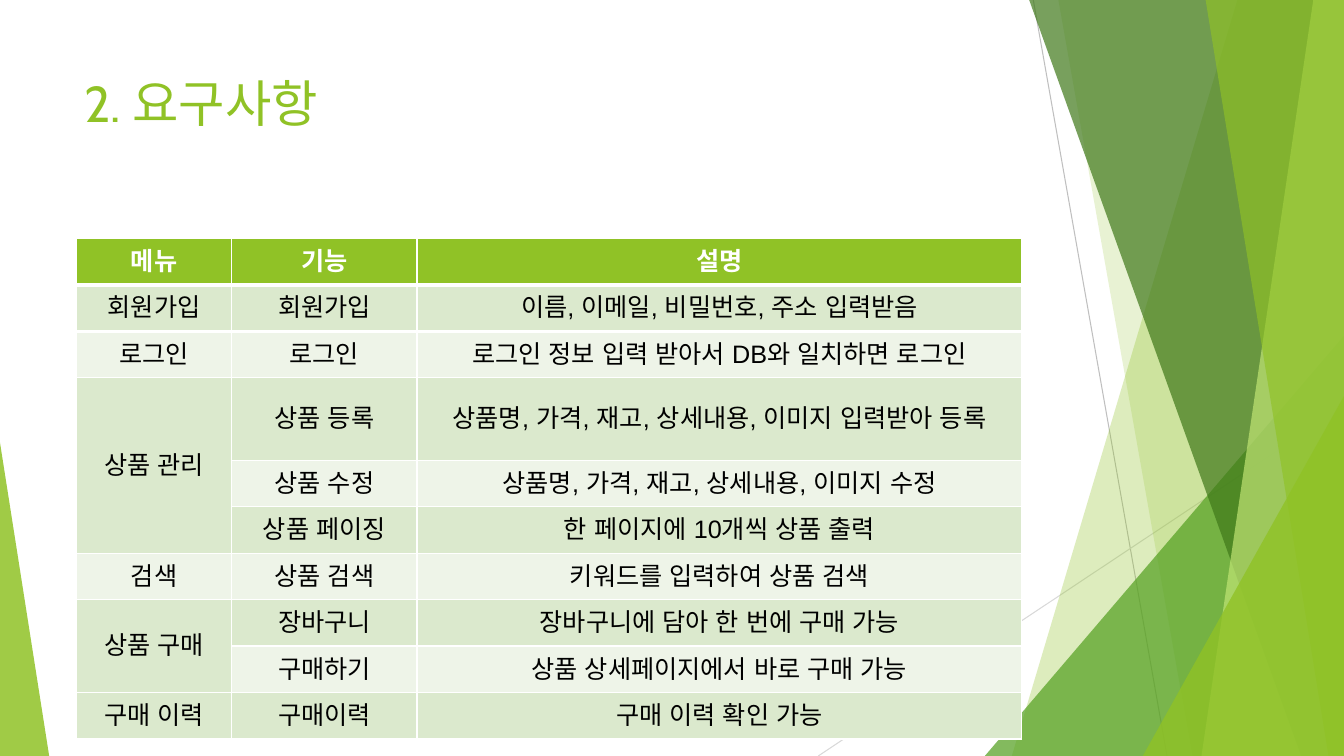
import pptx
import pptx.util
import pptx.dml.color
import pptx.enum.lang
import pptx.enum.shapes
import pptx.enum.text
import pptx.oxml
import pptx.oxml.ns
import lxml.etree

Cm = pptx.util.Cm
RGBColor = pptx.dml.color.RGBColor
qn = pptx.oxml.ns.qn

WHITE = RGBColor(0xFF, 0xFF, 0xFF)
BLACK = RGBColor(0, 0, 0)
LIME = RGBColor(0x90, 0xC2, 0x26)
GREEN = RGBColor(0x54, 0xA0, 0x21)
FOREST = RGBColor(0x3F, 0x78, 0x19)
PALE_LIME = RGBColor(0xC0, 0xE4, 0x74)
BAND_DARK = RGBColor(0xDB, 0xE9, 0xCD)
BAND_LIGHT = RGBColor(0xEE, 0xF4, 0xE8)
GREY = RGBColor(0xBF, 0xBF, 0xBF)
LIGHT_GREY = RGBColor(0xD9, 0xD9, 0xD9)

WIDTH, HEIGHT = 33.87, 19.05
SHARD_TOP = -0.02

HEADINGS = ("메뉴", "기능", "설명")
REQUIREMENTS = {
    "회원가입": [("회원가입", "이름, 이메일, 비밀번호, 주소 입력받음")],
    "로그인": [("로그인", "로그인 정보 입력 받아서 DB와 일치하면 로그인")],
    "상품 관리": [
        ("상품 등록", "상품명, 가격, 재고, 상세내용, 이미지 입력받아 등록"),
        ("상품 수정", "상품명, 가격, 재고, 상세내용, 이미지 수정"),
        ("상품 페이징", "한 페이지에 10개씩 상품 출력"),
    ],
    "검색": [("상품 검색", "키워드를 입력하여 상품 검색")],
    "상품 구매": [
        ("장바구니", "장바구니에 담아 한 번에 구매 가능"),
        ("구매하기", "상품 상세페이지에서 바로 구매 가능"),
    ],
    "구매 이력": [("구매이력", "구매 이력 확인 가능")],
}
COLUMN_WIDTHS = (3.91, 4.67, 15.24)
ROW_HEIGHT = 1.17
TWO_LINE_HEIGHT = 2.08
TWO_LINE_ROW = 3
CELL_MARGIN = 0.4


def write_text(frame, text, size=18, font="Arial", east_asian=None,
               color=BLACK, bold=False, align=None):
    paragraph = frame.paragraphs[0]
    paragraph.alignment = align
    run = paragraph.add_run()
    run.text = text
    run.font.size = pptx.util.Pt(size)
    run.font.name = font
    run.font.bold = bold
    run.font.color.rgb = color
    run.font.language_id = pptx.enum.lang.MSO_LANGUAGE_ID.KOREAN
    if east_asian:
        typeface = lxml.etree.SubElement(run.font._element, qn("a:ea"))
        typeface.set("typeface", east_asian)


def paint(shape, color, opacity):
    """Fill a shape with a see-through colour, without outline or shadow."""
    shape.shadow.inherit = False
    shape.line.fill.background()
    shape.fill.solid()
    shape.fill.fore_color.rgb = color
    tint = shape.fill._xPr.find(qn("a:solidFill"))[0]
    lxml.etree.SubElement(tint, qn("a:alpha")).set("val", str(opacity * 1000))


def add_hairline(slide, start, end, color):
    hairline = slide.shapes.add_connector(
        pptx.enum.shapes.MSO_CONNECTOR.STRAIGHT, *map(Cm, start + end))
    hairline.line.color.rgb = color
    hairline.line.width = pptx.util.Pt(0.75)
    lxml.etree.SubElement(hairline._element.spPr, qn("a:effectLst"))


def add_shard(slide, top_x, bottom_x, color, opacity):
    """Add a slanted band that reaches from its left edge to the slide's right edge."""
    builder = slide.shapes.build_freeform(Cm(top_x), Cm(SHARD_TOP))
    corners = ((WIDTH, SHARD_TOP), (WIDTH, HEIGHT), (bottom_x, HEIGHT))
    builder.add_line_segments([(Cm(x), Cm(y)) for x, y in corners], close=True)
    paint(builder.convert_to_shape(), color, opacity)


def add_corner(slide, left, top, right, apex, color, opacity):
    """Add a triangle on the bottom edge; apex is 0 for left and 1 for right."""
    corner = slide.shapes.add_shape(
        pptx.enum.shapes.MSO_SHAPE.ISOSCELES_TRIANGLE,
        Cm(left), Cm(top), Cm(right - left), Cm(HEIGHT - top))
    corner.adjustments[0] = apex
    paint(corner, color, opacity)


def add_backdrop(slide):
    add_hairline(slide, (26.04, 0), (29.41, HEIGHT), GREY)
    add_hairline(slide, (WIDTH, 10.24), (20.62, HEIGHT), LIGHT_GREY)
    add_shard(slide, 31.19, 25.5, LIME, 30)
    add_shard(slide, 26.67, 30.05, LIME, 20)
    add_corner(slide, 24.82, 8.46, WIDTH, 1, GREEN, 72)
    add_shard(slide, 25.93, 32.79, FOREST, 70)
    add_shard(slide, 33.1, 30.28, PALE_LIME, 70)
    add_shard(slide, 30.38, 33.48, LIME, 65)
    add_corner(slide, 28.8, 9.98, WIDTH, 1, LIME, 80)
    add_corner(slide, 0, 11.15, 1.24, 0, LIME, 85)


def add_title(slide, text):
    title = slide.shapes.add_textbox(Cm(1.88), Cm(1.7), Cm(23.88), Cm(3.66))
    title.text_frame.word_wrap = True
    write_text(title.text_frame, text, size=36, font="Cabin", color=LIME)


def fill_cell(cell, text, background, **text_format):
    cell.fill.solid()
    cell.fill.fore_color.rgb = background
    cell.vertical_anchor = pptx.enum.text.MSO_ANCHOR.MIDDLE
    cell.margin_left = cell.margin_right = Cm(CELL_MARGIN)
    if text:
        write_text(cell.text_frame, text, east_asian="Arial",
                   align=pptx.enum.text.PP_ALIGN.CENTER, **text_format)


def add_border(cell, side, points, color):
    """Draw one cell edge; side is the border tag, such as lnB for the bottom."""
    border = pptx.oxml.parse_xml(
        f'<a:{side} {pptx.oxml.ns.nsdecls("a")} w="{pptx.util.Pt(points)}">'
        f'<a:solidFill><a:srgbClr val="{color}"/></a:solidFill></a:{side}>')
    cell._tc.get_or_add_tcPr().insert(0, border)


def add_requirements(slide):
    row_count = 1 + sum(len(features) for features in REQUIREMENTS.values())
    heights = [TWO_LINE_HEIGHT if row == TWO_LINE_ROW else ROW_HEIGHT
               for row in range(row_count)]
    table = slide.shapes.add_table(
        row_count, len(HEADINGS), Cm(1.93), Cm(6.01),
        Cm(sum(COLUMN_WIDTHS)), Cm(sum(heights))).table
    for column, width in zip(table.columns, COLUMN_WIDTHS):
        column.width = Cm(width)
    for table_row, height in zip(table.rows, heights):
        table_row.height = Cm(height)
    for column, heading in enumerate(HEADINGS):
        fill_cell(table.cell(0, column), heading, LIME, color=WHITE, bold=True)
        add_border(table.cell(0, column), "lnB", 3, WHITE)

    row = 1
    for menu, features in REQUIREMENTS.items():
        first_row = row
        for feature, description in features:
            band = BAND_DARK if row % 2 else BAND_LIGHT
            menu_label = menu if row == first_row else ""
            for column, text in enumerate((menu_label, feature, description)):
                fill_cell(table.cell(row, column), text, band)
            row += 1
        if len(features) > 1:
            table.cell(first_row, 0).merge(table.cell(row - 1, 0))
    for column in range(len(HEADINGS)):
        add_border(table.cell(1, column), "lnT", 3, WHITE)


def main():
    presentation = pptx.Presentation()
    presentation.slide_width = Cm(WIDTH)
    presentation.slide_height = Cm(HEIGHT)
    slide = presentation.slides.add_slide(presentation.slide_layouts[6])
    add_backdrop(slide)
    add_title(slide, "2. 요구사항")
    add_requirements(slide)
    presentation.save("out.pptx")


if __name__ == "__main__":
    main()
